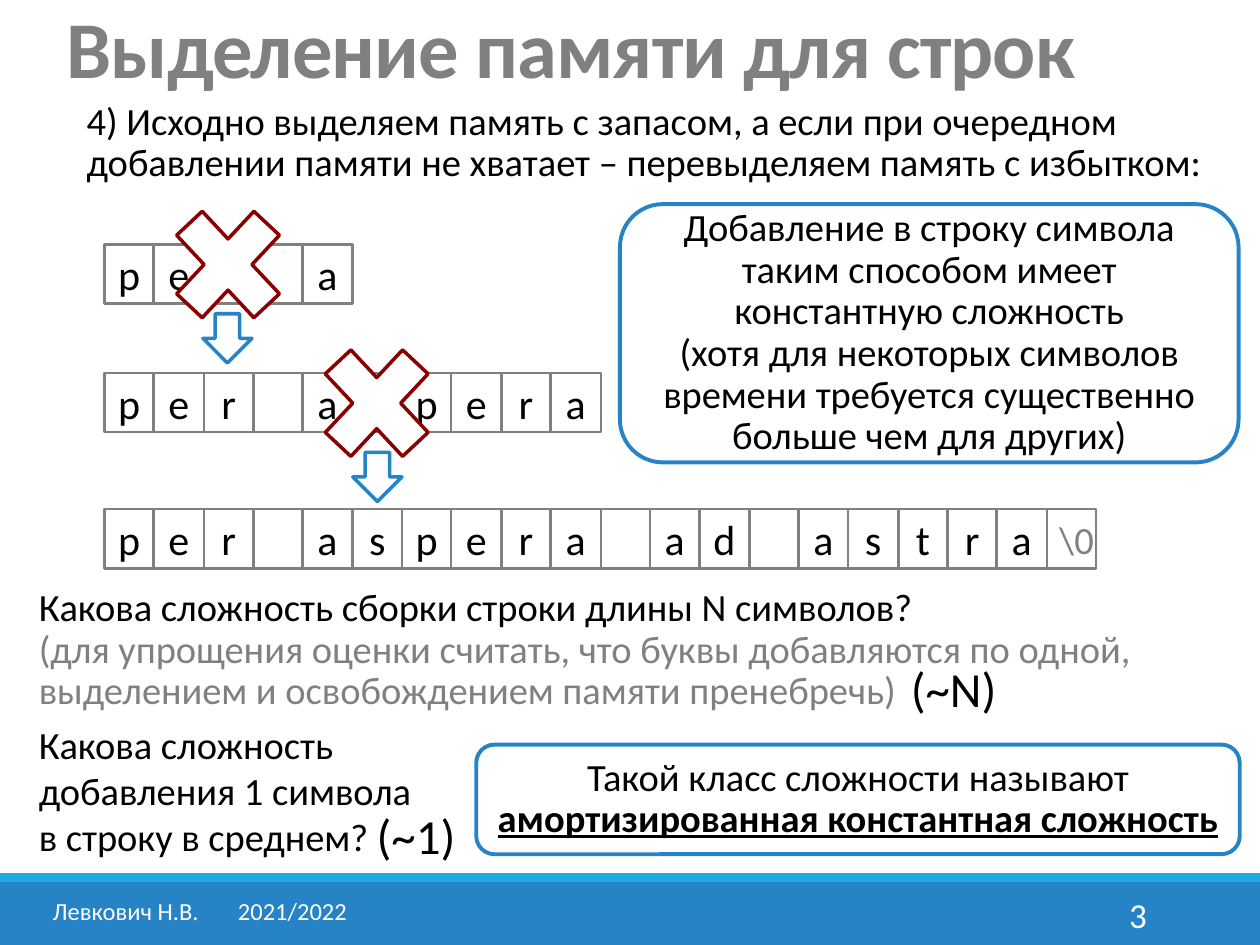
from lxml import etree
from pptx import Presentation
from pptx import util as u
from pptx.dml.color import RGBColor
from pptx.enum import shapes, text
from pptx.oxml.ns import qn

PX = 9144  # EMU in one px, 100 px to the inch
FONT = "Calibri"
BLACK, WHITE, GRAY = "000000", "FFFFFF", "808080"
BLUE, CYAN, RED = "2683C6", "1CADE4", "880000"
MSO, ANCHOR, ALIGN = shapes.MSO_SHAPE, text.MSO_ANCHOR, text.PP_ALIGN

ROW_LEFT, ROW_WIDTH, ROW_CELLS, CELL_HEIGHT = 83, 787, 20, 47


def rgb(value):
    return RGBColor.from_string(value)


class Deck:
    def __init__(self, width, height):
        self.prs = Presentation()
        self.prs.slide_width, self.prs.slide_height = width * PX, height * PX
        self.slide = self.prs.slides.add_slide(self.prs.slide_layouts[6])

    def fill_text(self, sp, lines, size, color=BLACK, align=ALIGN.LEFT,
                  anchor=ANCHOR.TOP, spacing=None, insets=None, tab=None):
        """Each line is a string or a list of runs: (text, style dict)."""
        tf = sp.text_frame
        tf.word_wrap = True
        tf.vertical_anchor = anchor
        if insets:
            (tf.margin_left, tf.margin_top,
             tf.margin_right, tf.margin_bottom) = [i * PX for i in insets]
        for i, line in enumerate(lines):
            p = tf.add_paragraph() if i else tf.paragraphs[0]
            p.alignment = align
            if spacing:
                p.line_spacing = spacing
            if tab:
                tabs = etree.SubElement(p._p.get_or_add_pPr(), qn("a:tabLst"))
                etree.SubElement(tabs, qn("a:tab"), pos=str(tab * PX), algn="l")
            p.font.name, p.font.size = FONT, u.Pt(size)
            p.font.color.rgb = rgb(color)
            for j, (words, style) in enumerate([(line, {})] if isinstance(line, str) else line):
                if j:
                    p.add_line_break()
                r = p.add_run()
                r.text = words
                if "color" in style:
                    r.font.color.rgb = rgb(style["color"])
                if style.get("strong"):
                    r.font.bold = r.font.underline = True
        return sp

    def text(self, x, y, w, h, lines, size, **style):
        sp = self.slide.shapes.add_textbox(x * PX, y * PX, w * PX, h * PX)
        return self.fill_text(sp, lines, size, **style)

    def shape(self, kind, x, y, w, h, fill=None, line=None, weight=2):
        sp = self.slide.shapes.add_shape(kind, x * PX, y * PX, w * PX, h * PX)
        sp.shadow.inherit = False
        if fill:
            sp.fill.solid()
            sp.fill.fore_color.rgb = rgb(fill)
        else:
            sp.fill.background()
        if line:
            sp.line.color.rgb = rgb(line)
            sp.line.width = u.Pt(weight)
        else:
            sp.line.fill.background()
        return sp

    def cells(self, y, chars):
        """A row of cells, one per character; a space leaves its cell empty."""
        edges = [ROW_LEFT + round(i * ROW_WIDTH / ROW_CELLS) for i in range(len(chars) + 1)]
        for char, left, right in zip(chars, edges, edges[1:]):
            sp = self.shape(MSO.RECTANGLE, left, y, right - left, CELL_HEIGHT, WHITE, GRAY, 1.5)
            if char == "\\0":
                self.fill_text(sp, [char], 22, GRAY, ALIGN.CENTER, ANCHOR.MIDDLE,
                               insets=(8, 0, 0, 0))
            elif char != " ":
                self.fill_text(sp, [char], 24, BLACK, ALIGN.CENTER, ANCHOR.MIDDLE,
                               insets=(4, 4, 4, 4))

    def arrow(self, x, y):
        self.shape(MSO.DOWN_ARROW, x, y, 39, 39, line=BLUE)

    def cross(self, x, y):
        self.shape(MSO.MATH_MULTIPLY, x, y, 118, 126, WHITE, RED)

    def callout(self, x, y, w, h, lines):
        sp = self.shape(MSO.ROUNDED_RECTANGLE, x, y, w, h, WHITE, BLUE, 2.25)
        self.fill_text(sp, lines, 22, align=ALIGN.CENTER, anchor=ANCHOR.MIDDLE, spacing=0.9)


def main():
    deck = Deck(1000, 750)

    # Footer
    deck.shape(MSO.RECTANGLE, 0, 700, 1000, 50, BLUE)
    deck.shape(MSO.RECTANGLE, 0, 693, 1000, 7, CYAN)
    deck.text(812, 706, 108, 40, ["3"], 20, color=WHITE, align=ALIGN.RIGHT, anchor=ANCHOR.MIDDLE)
    deck.text(32, 706, 261, 40, ["Левкович Н.В.\t2021/2022"], 14, color=WHITE, tab=147)

    # Title and introduction
    title = deck.text(43, -19, 929, 99, ["Выделение памяти для строк"], 46,
                      color=GRAY, anchor=ANCHOR.BOTTOM, spacing=0.85)
    p = title.text_frame.paragraphs[0]
    p.font.bold = True
    p.runs[0]._r.get_or_add_rPr().set("spc", "-50")
    deck.text(59, 76, 913, 77, [
        "4) Исходно выделяем память с запасом, а если при очередном добавлении "
        "памяти не хватает – перевыделяем память с избытком:"], 22, spacing=0.9)

    # Memory blocks: the two outgrown ones are crossed out
    deck.arrow(161, 249)
    deck.arrow(280, 359)
    phrase = "per aspera ad astra"
    deck.cells(194, phrase[:5])
    deck.cross(122, 147)
    deck.cells(296, phrase[:10])
    deck.cells(404, [*phrase, "\\0"])
    deck.cross(240, 257)

    # Questions and answers
    gray = {"color": GRAY}
    deck.text(21, 462, 945, 110, [
        [("Какова сложность сборки строки длины N символов?", {}),
         ("(для упрощения оценки считать, что буквы добавляются по одной,", gray)],
        [("выделением и освобождением памяти пренебречь)", gray)]], 22, spacing=0.9)
    deck.text(713, 518, 99, 57, ["(~N)"], 28)
    deck.text(21, 567, 331, 121,
              ["Какова сложность добавления 1 символа в строку в среднем?"], 22)
    deck.text(289, 634, 99, 57, ["(~1)"], 28)

    # Callouts
    deck.callout(492, 162, 491, 205, [
        [("Добавление в строку символа таким способом имеет константную сложность", {}),
         ("(хотя для некоторых символов времени требуется существенно "
          "больше чем для других)", {})]])
    deck.callout(378, 591, 606, 87, [
        [("Такой класс сложности называют", {}),
         ("амортизированная константная сложность", {"strong": True})]])

    deck.prs.save("out.pptx")


if __name__ == "__main__":
    main()
